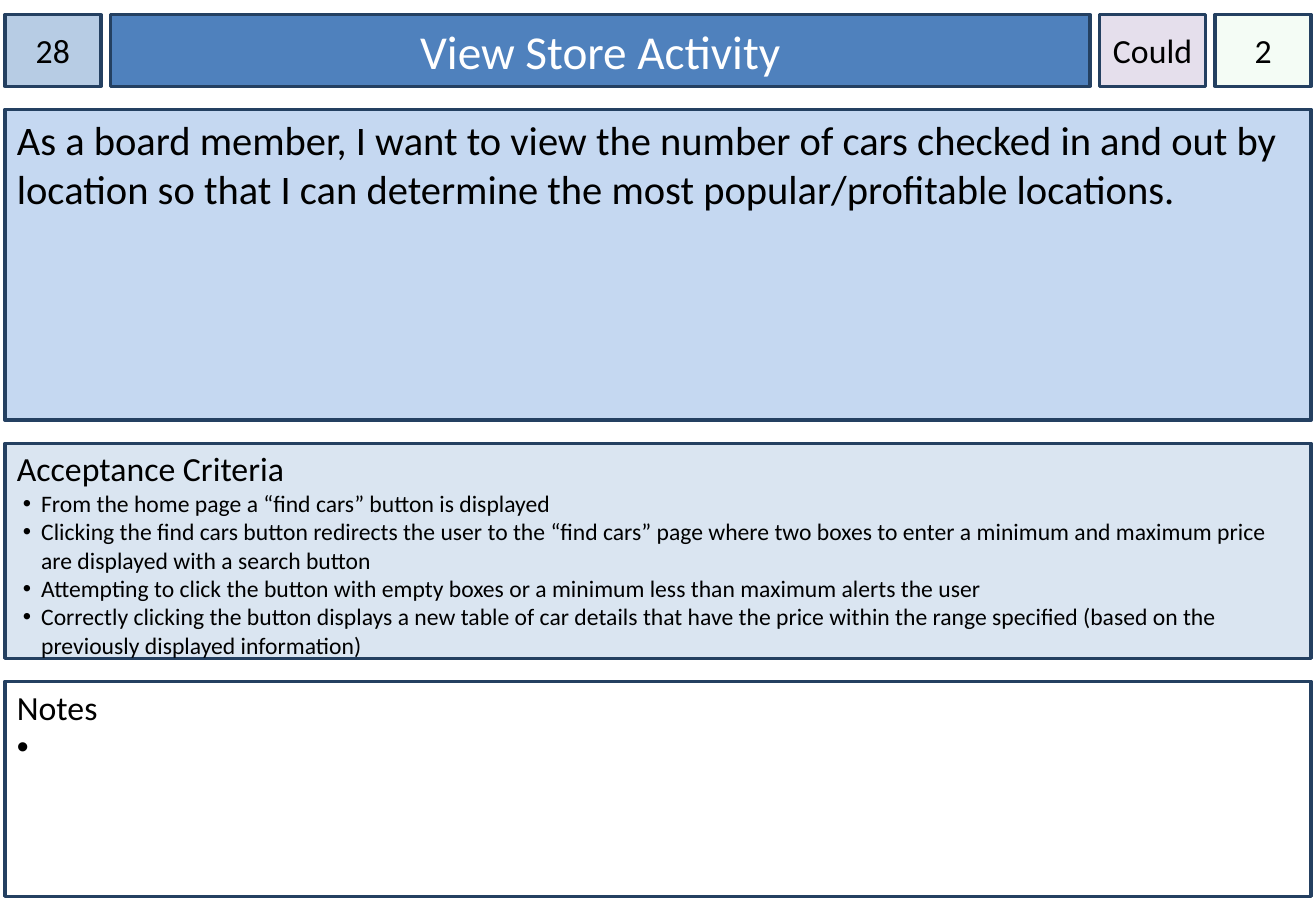
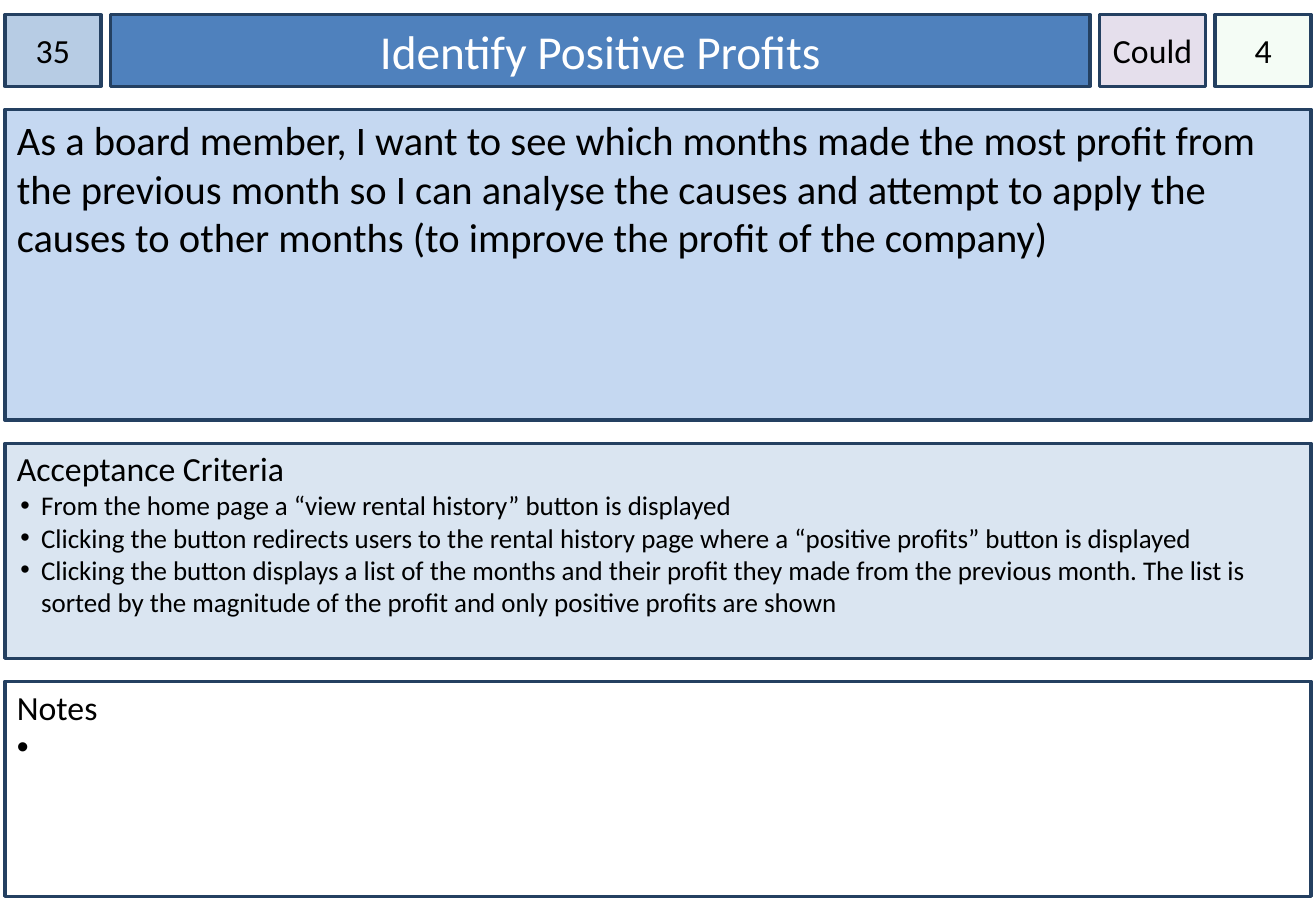
"""Build two user story cards that share one card layout."""
from dataclasses import dataclass

from lxml import etree
from pptx import Presentation
from pptx import util as u
from pptx.dml.color import RGBColor
from pptx.enum import shapes, text
from pptx.oxml import ns

STORIES = [
    {
        "number": "28",
        "title": "View Store Activity",
        "priority": "Could",
        "points": "2",
        "story": "As a board member, I want to view the number of cars checked in and out by "
                 "location so that I can determine the most popular/profitable locations.",
        "criteria": [
            "From the home page a “find cars” button is displayed",
            "Clicking the find cars button redirects the user to the “find cars” page where two "
            "boxes to enter a minimum and maximum price are displayed with a search button",
            "Attempting to click the button with empty boxes or a minimum less than maximum "
            "alerts the user",
            "Correctly clicking the button displays a new table of car details that have the "
            "price within the range specified (based on the previously displayed information)",
        ],
        "criteria_size": 14,
        "hang": 0.15,
    },
    {
        "number": "35",
        "title": "Identify Positive Profits",
        "priority": "Could",
        "points": "4",
        "story": "As a board member, I want to see which months made the most profit from the "
                 "previous month so I can analyse the causes and attempt to apply the causes to "
                 "other months (to improve the profit of the company)",
        "criteria": [
            "From the home page a “view rental history” button is displayed",
            "Clicking the button redirects users to the rental history page where a “positive "
            "profits” button is displayed",
            "Clicking the button displays a list of the months and their profit they made from "
            "the previous month. The list is sorted by the magnitude of the profit and only "
            "positive profits are shown",
        ],
        "criteria_size": 16,
        "hang": 0.17,
    },
]


@dataclass(frozen=True)
class Theme:
    """Colours, type and line weight of the cards."""
    font: str = "Calibri"
    ink: str = "000000"
    white: str = "FFFFFF"
    border: str = "244061"
    number: str = "B7CCE4"
    title: str = "4F81BD"
    priority: str = "E5DFEC"
    points: str = "CCF0CD"
    story: str = "C5D8F1"
    criteria: str = "DAE5F1"
    points_alpha: int = 20
    line: float = 2
    title_size: int = 28
    story_size: int = 24
    label_size: int = 20


THEME = Theme()
LEFT, TOP, WIDTH = 0.04, 0.12, 10.75
COLUMN_GAP, ROW_GAP, INDENT = 0.08, 0.19, 0.2
HEADER_WIDTHS = {"number": 0.79, "title": 8.06, "priority": 0.87, "points": 0.79}
ROW_HEIGHTS = {"header": 0.59, "story": 2.56, "criteria": 1.77, "notes": 1.77}


def starts(sizes, first, gap):
    """Return the start of each part when parts follow at an equal gap."""
    places = {}
    for name, size in sizes.items():
        places[name] = first
        first += size + gap
    return places


COLUMNS = starts(HEADER_WIDTHS, LEFT, COLUMN_GAP)
ROWS = starts(ROW_HEIGHTS, TOP, ROW_GAP)


def add_box(page, place, fill, side=0.1, top=0.05, anchor=text.MSO_ANCHOR.TOP):
    """Add a bordered rectangle and return it."""
    box = page.shapes.add_shape(shapes.MSO_SHAPE.RECTANGLE, *map(u.Inches, place))
    box.shadow.inherit = False
    box.fill.solid()
    box.fill.fore_color.rgb = RGBColor.from_string(fill)
    box.line.color.rgb = RGBColor.from_string(THEME.border)
    box.line.width = u.Pt(THEME.line)
    frame = box.text_frame
    frame.word_wrap = True
    frame.vertical_anchor = anchor
    frame.margin_left = frame.margin_right = u.Inches(side)
    frame.margin_top, frame.margin_bottom = u.Inches(top), u.Inches(0.05)
    return box


def write(para, words, size, color=THEME.ink, align=text.PP_ALIGN.LEFT):
    """Add one styled run to a paragraph."""
    para.alignment = align
    span = para.add_run()
    span.text = words
    span.font.name = THEME.font
    span.font.size = u.Pt(size)
    span.font.color.rgb = RGBColor.from_string(color)


def add_bullet(para, hang):
    """Give a paragraph a round bullet and a hanging indent."""
    props = para._p.get_or_add_pPr()
    props.set("marL", str(u.Inches(INDENT)))
    props.set("indent", str(-u.Inches(hang)))
    tint = etree.SubElement(props, ns.qn("a:buClr"))
    etree.SubElement(tint, ns.qn("a:srgbClr"), val=THEME.ink)
    etree.SubElement(props, ns.qn("a:buFont"), typeface="Arial")
    etree.SubElement(props, ns.qn("a:buChar"), char="•")


def set_alpha(box, percent):
    """Make the fill of a box partly transparent."""
    color = box._element.spPr.find(ns.qn("a:solidFill")).find(ns.qn("a:srgbClr"))
    etree.SubElement(color, ns.qn("a:alpha"), val=str(percent * 1000))


def add_header(page, name, words):
    """Add one centred cell of the header row."""
    is_title = name == "title"
    place = (COLUMNS[name], ROWS["header"], HEADER_WIDTHS[name], ROW_HEIGHTS["header"])
    box = add_box(page, place, getattr(THEME, name), side=0.1 if is_title else 0,
                  anchor=text.MSO_ANCHOR.MIDDLE)
    write(box.text_frame.paragraphs[0], words,
          THEME.title_size if is_title else THEME.label_size,
          THEME.white if is_title else THEME.ink, text.PP_ALIGN.CENTER)
    if name == "points":
        set_alpha(box, THEME.points_alpha)


def add_panel(page, name, fill, words, size, top=0.04, bullets=(), bullet_size=0, hang=0):
    """Add a full-width panel with a lead line and optional bullets."""
    box = add_box(page, (LEFT, ROWS[name], WIDTH, ROW_HEIGHTS[name]), fill, top=top)
    write(box.text_frame.paragraphs[0], words, size)
    for bullet in bullets:
        para = box.text_frame.add_paragraph()
        write(para, bullet, bullet_size)
        add_bullet(para, hang)


def add_card(deck, card):
    """Add one slide holding a story card."""
    page = deck.slides.add_slide(deck.slide_layouts[6])
    for name in HEADER_WIDTHS:
        add_header(page, name, card[name])
    add_panel(page, "story", THEME.story, card["story"], THEME.story_size, top=0.05)
    add_panel(page, "criteria", THEME.criteria, "Acceptance Criteria", THEME.label_size,
              bullets=card["criteria"], bullet_size=card["criteria_size"], hang=card["hang"])
    add_panel(page, "notes", THEME.white, "Notes", THEME.label_size,
              bullets=[" "], bullet_size=THEME.label_size, hang=INDENT)


deck = Presentation()
deck.slide_width, deck.slide_height = u.Inches(10.83), u.Inches(7.5)
for card in STORIES:
    add_card(deck, card)
deck.save("out.pptx")
